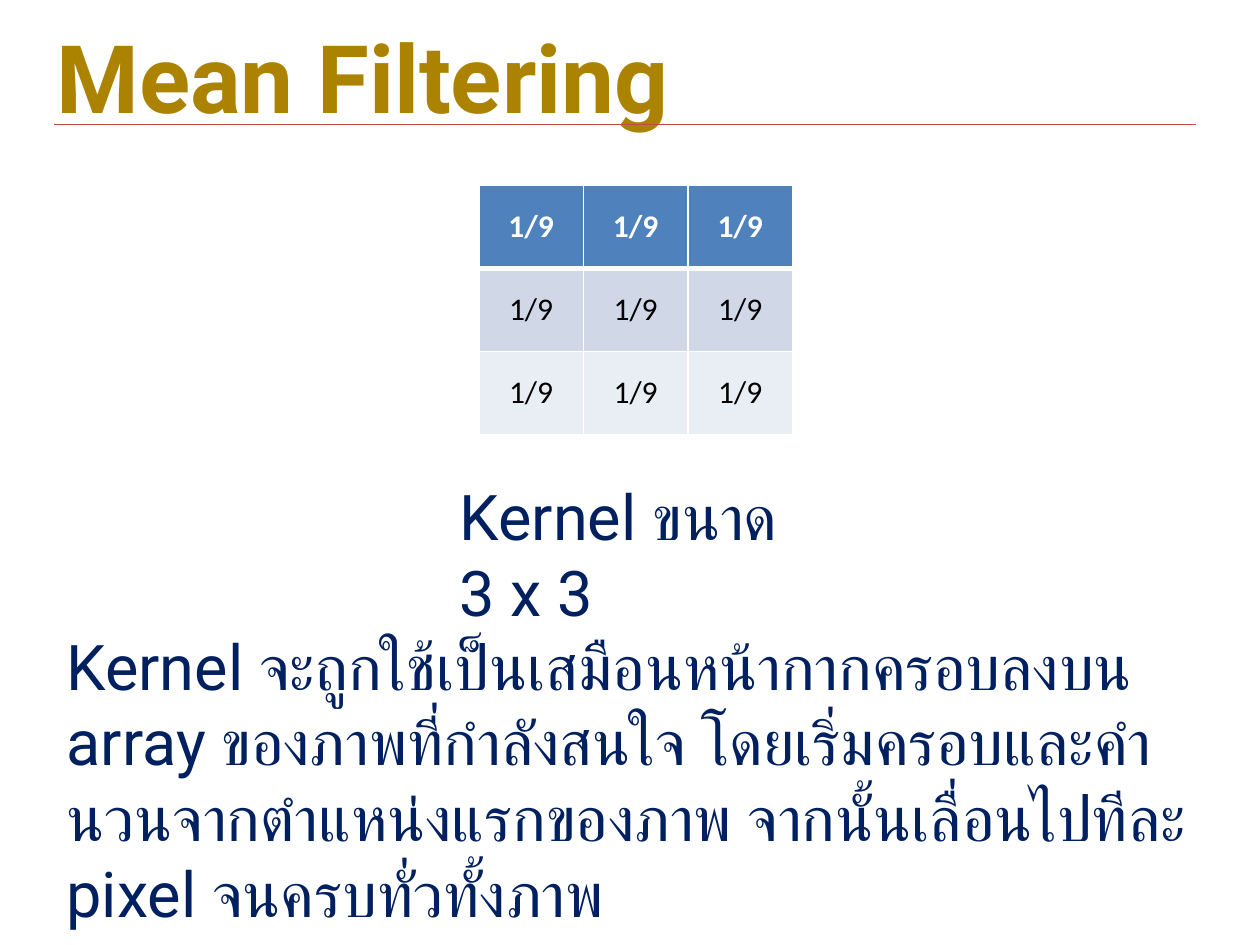
from lxml import etree
from pptx import Presentation
from pptx import util as u
from pptx.dml.color import RGBColor
from pptx.enum import shapes, text
from pptx.oxml.ns import qn

GOLD = RGBColor(0xAC, 0x83, 0x00)
NAVY = RGBColor(0x00, 0x20, 0x60)
RED = RGBColor(0xBF, 0x4C, 0x48)
WHITE = RGBColor(0xFF, 0xFF, 0xFF)
BLACK = RGBColor(0x00, 0x00, 0x00)
ROW_FILLS = [RGBColor(0x4F, 0x81, 0xBD), RGBColor(0xD0, 0xD8, 0xE8), RGBColor(0xE9, 0xED, 0xF4)]

TITLE = "Mean Filtering"
CAPTION = "Kernel ขนาด 3 x 3"
EXPLANATION = (
    "Kernel จะถูกใช้เป็นเสมือนหน้ากากครอบลงบน array ของภาพที่กำลังสนใจ "
    "โดยเริ่มครอบและคำนวนจากตำแหน่งแรกของภาพ จากนั้นเลื่อนไปทีละ pixel จนครบทั่วทั้งภาพ"
)
KERNEL = [["1/9"] * 3 for _ in range(3)]
COLUMN_WIDTH, ROW_HEIGHT = 0.83, 0.66


def add_text(slide, box, content, size, color, bold=False, anchor=text.MSO_ANCHOR.TOP):
    shape = slide.shapes.add_textbox(*map(u.Inches, box))
    frame = shape.text_frame
    frame.word_wrap = True
    frame.vertical_anchor = anchor
    paragraph = frame.paragraphs[0]
    paragraph.text = content
    style_font(paragraph.font, "Roboto", size, color, bold)


def style_font(font, name, size, color, bold):
    font.name, font.size, font.bold = name, u.Pt(size), bold
    font.color.rgb = color


def set_borders(cell, widths):
    """Draw white borders; widths maps each side (L, R, T, B) to points."""
    properties = cell._tc.get_or_add_tcPr()
    for position, (side, points) in enumerate(widths.items()):
        line = etree.Element(qn(f"a:ln{side}"), w=str(u.Pt(points)))
        fill = etree.SubElement(line, qn("a:solidFill"))
        etree.SubElement(fill, qn("a:srgbClr"), val=str(WHITE))
        properties.insert(position, line)


def add_kernel(slide, left, top):
    rows, columns = len(KERNEL), len(KERNEL[0])
    table = slide.shapes.add_table(
        rows, columns, u.Inches(left), u.Inches(top),
        u.Inches(columns * COLUMN_WIDTH), u.Inches(rows * ROW_HEIGHT),
    ).table
    for r, values in enumerate(KERNEL):
        header = r == 0
        for c, value in enumerate(values):
            cell = table.cell(r, c)
            cell.fill.solid()
            cell.fill.fore_color.rgb = ROW_FILLS[r]
            cell.vertical_anchor = text.MSO_ANCHOR.MIDDLE
            paragraph = cell.text_frame.paragraphs[0]
            paragraph.text = value
            paragraph.alignment = text.PP_ALIGN.CENTER
            style_font(paragraph.font, "Calibri", 18, WHITE if header else BLACK, header)
            set_borders(cell, {"L": 1, "R": 1, "T": 3 if r == 1 else 1, "B": 3 if header else 1})


def add_rule(slide, left, right, y):
    rule = slide.shapes.add_connector(
        shapes.MSO_CONNECTOR.STRAIGHT, *map(u.Inches, (left, y, right, y)))
    rule.line.color.rgb = RED
    rule.line.width = u.Pt(0.75)
    etree.SubElement(rule._element.spPr, qn("a:effectLst"))


def main():
    presentation = Presentation()
    presentation.slide_width, presentation.slide_height = u.Inches(10), u.Inches(7.5)
    slide = presentation.slides.add_slide(presentation.slide_layouts[6])
    add_text(slide, (0.35, -0.03, 9.13, 1.26), TITLE, 54, GOLD, True, text.MSO_ANCHOR.MIDDLE)
    add_rule(slide, 0.43, 9.49, 0.99)
    add_text(slide, (0.43, 4.93, 9.21, 2.2), EXPLANATION, 36, NAVY)
    add_kernel(slide, 3.8, 1.47)
    add_text(slide, (3.55, 3.74, 2.98, 0.71), CAPTION, 36, NAVY)
    presentation.save("out.pptx")


if __name__ == "__main__":
    main()
